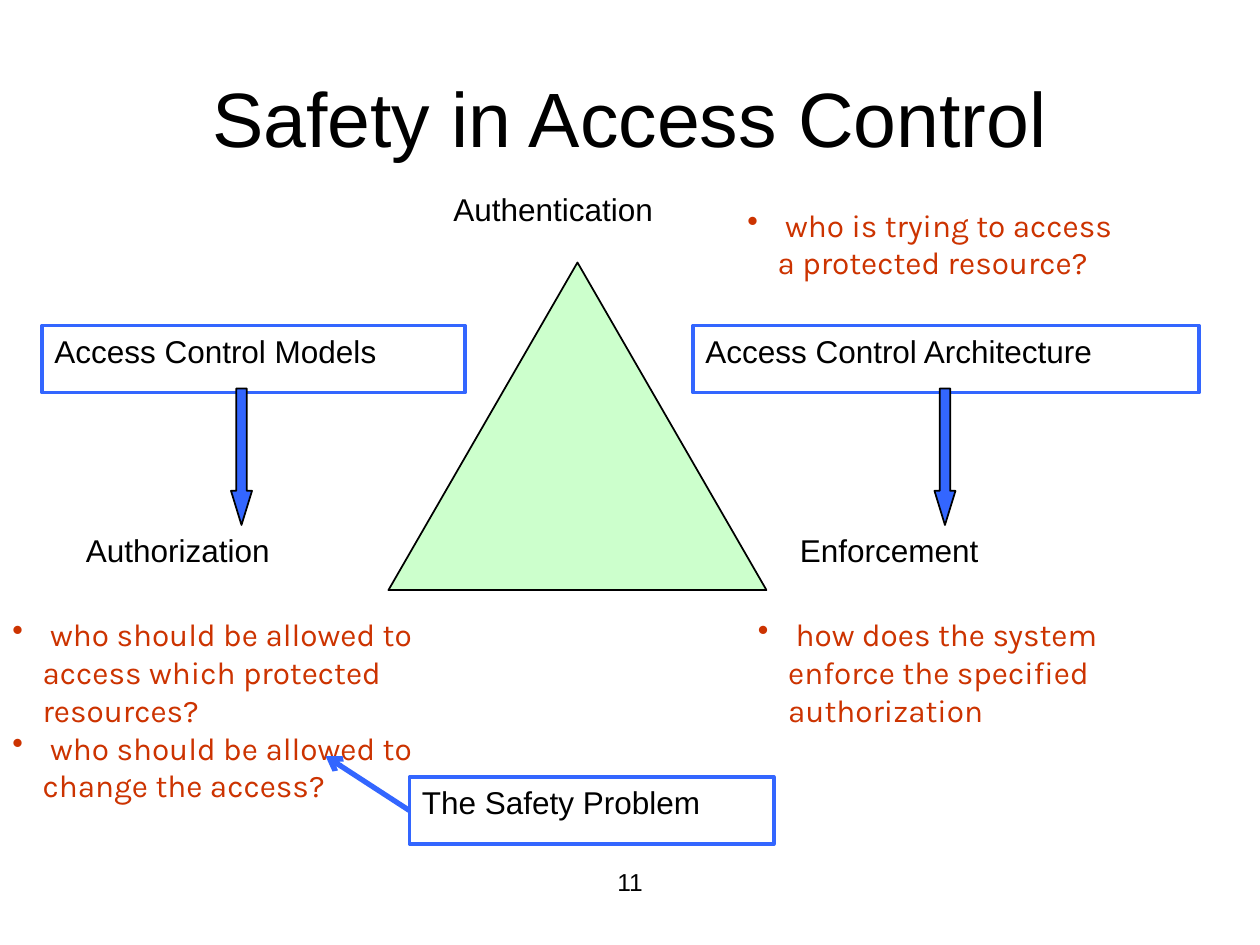
from lxml.etree import SubElement
from pptx import Presentation
from pptx.dml.color import RGBColor
from pptx.enum.shapes import MSO_CONNECTOR as Line, MSO_SHAPE as Shape
from pptx.enum.text import MSO_ANCHOR as Anchor, PP_ALIGN as Align
from pptx.oxml.ns import qn
from pptx.util import Inches, Pt

UNIT = Inches(1) / 12  # the slide is a grid of 120 columns by 90 rows
BLACK, BLUE, GREEN, RED = "000000", "3366FF", "CCFFCC", "CC3300"
HANG = Inches(0.24)
LABEL = {"name": "Arial", "size": Pt(18)}
QUESTION = {"name": "Karla", "size": Pt(18)}


def color(value):
    return RGBColor.from_string(value)


def grid(*cells):
    return [round(cell * UNIT) for cell in cells]


def style(paragraph, font, ink=BLACK):
    for key, value in font.items():
        setattr(paragraph.font, key, value)
    paragraph.font.color.rgb = color(ink)


def add_bullet(paragraph):
    properties = paragraph._p.get_or_add_pPr()
    properties.set("marL", str(HANG))
    properties.set("indent", str(-HANG))
    SubElement(properties, qn("a:buChar")).set("char", "•")


def write(frame, lines, font, ink=BLACK, align=Align.LEFT, anchor=Anchor.TOP, bullets=False):
    frame.word_wrap = True
    frame.vertical_anchor = anchor
    for number, line in enumerate(lines):
        paragraph = frame.add_paragraph() if number else frame.paragraphs[0]
        paragraph.text = line
        paragraph.alignment = align
        if bullets:
            add_bullet(paragraph)
        style(paragraph, font, ink)


def add_figure(slide, kind, box, fill, line, weight):
    figure = slide.shapes.add_shape(kind, *grid(*box))
    figure.shadow.inherit = False
    if fill:
        figure.fill.solid()
        figure.fill.fore_color.rgb = color(fill)
    else:
        figure.fill.background()
    figure.line.color.rgb = color(line)
    figure.line.width = Pt(weight)
    return figure


def add_text(slide, box, lines, font, **options):
    write(slide.shapes.add_textbox(*grid(*box)).text_frame, lines, font, **options)


def add_title(slide, box, words):
    title = slide.shapes.title
    title.left, title.top, title.width, title.height = grid(*box)
    write(title.text_frame, [words], {"name": "Arial", "size": Pt(44)},
          align=Align.CENTER, anchor=Anchor.MIDDLE)


def add_topic(slide, box, words):
    topic = add_figure(slide, Shape.RECTANGLE, box, None, BLUE, 2)
    write(topic.text_frame, [words], LABEL)
    return topic


def add_down_arrow(slide, box):
    arrow = add_figure(slide, Shape.DOWN_ARROW, box, BLUE, BLACK, 1)
    arrow.adjustments[0], arrow.adjustments[1] = 0.5, 1.625


def add_pointer(slide, topic, end):
    """Draw an arrow from the left side of the topic to the end point."""
    pointer = slide.shapes.add_connector(Line.STRAIGHT, topic.left, topic.top, *grid(*end))
    pointer.begin_connect(topic, 1)
    pointer.line.color.rgb = color(BLUE)
    pointer.line.width = Pt(3)
    SubElement(pointer.line._get_or_add_ln(), qn("a:tailEnd")).set("type", "arrow")
    SubElement(pointer._element.spPr, qn("a:effectLst"))


def add_triangle(slide, box):
    """Draw the triangle with a label at each corner."""
    left, top, width, height = box
    add_figure(slide, Shape.ISOSCELES_TRIANGLE, box, GREEN, BLACK, 1)
    base = top + height - 6.2
    corners = [
        ("Authentication", left + 5, top - 7.5),
        ("Authorization", left - 30, base),
        ("Enforcement", left + width + 2, base),
    ]
    for words, x, y in corners:
        add_text(slide, (x, y, 26, 6), [words], LABEL)


def add_questions(slide):
    questions = [
        ((70, 19, 38.2, 8.4), [" who is trying to access a protected resource?"]),
        ((0, 58, 49, 15.6), [" who should be allowed to access which protected resources?",
                             " who should be allowed to change the access?"]),
        ((71, 58, 45, 8.4), [" how does the system enforce the specified authorization"]),
    ]
    for box, lines in questions:
        add_text(slide, box, lines, QUESTION, ink=RED, bullets=True)


def add_topics(slide):
    topics = [
        ("Access Control Models", 4, 40.3, 22),
        ("Access Control Architecture", 66, 48.2, 89),
    ]
    for words, left, width, arrow_left in topics:
        add_topic(slide, (left, 31, width, 6.4), words)
        add_down_arrow(slide, (arrow_left, 37, 2, 13))
    problem = add_topic(slide, (39, 74, 34.7, 6.4), "The Safety Problem")
    add_pointer(slide, problem, (31, 72))


def main():
    deck = Presentation()
    deck.slide_width, deck.slide_height = grid(120, 90)
    slide = deck.slides.add_slide(deck.slide_layouts[5])
    add_title(slide, (6, 3.6, 108, 15), "Safety in Access Control")
    add_triangle(slide, (37, 25, 36, 31.2))
    add_questions(slide)
    add_topics(slide)
    add_text(slide, (41, 82, 38, 6.2), ["11"], {"name": "Arial", "size": Pt(14)},
             align=Align.CENTER)
    deck.save("out.pptx")


if __name__ == "__main__":
    main()
